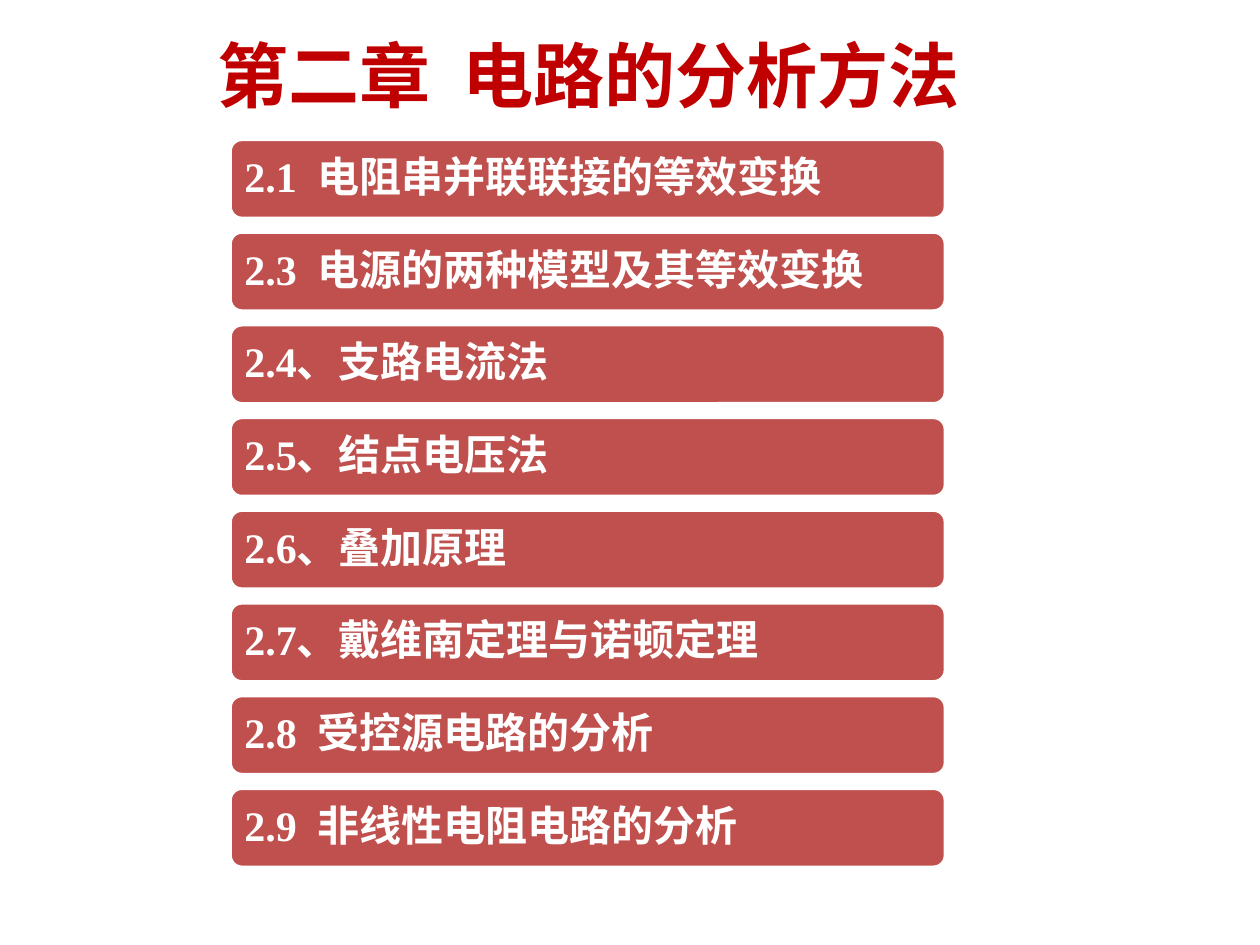
from pptx import Presentation
from pptx.dml.color import RGBColor
from pptx.enum.shapes import MSO_SHAPE
from pptx.enum.text import MSO_ANCHOR, PP_ALIGN
from pptx.oxml.ns import qn
from pptx.util import Inches, Pt
from lxml.etree import SubElement

TITLE = "第二章  电路的分析方法"
TOPICS = [
    "2.1  电阻串并联联接的等效变换",
    "2.3  电源的两种模型及其等效变换",
    "2.4、支路电流法",
    "2.5、结点电压法",
    "2.6、叠加原理",
    "2.7、戴维南定理与诺顿定理",
    "2.8  受控源电路的分析",
    "2.9  非线性电阻电路的分析",
]

THEME = {
    "title": RGBColor(0xC0, 0x00, 0x00),
    "bar": RGBColor(0xC0, 0x50, 0x4D),
    "white": RGBColor(0xFF, 0xFF, 0xFF),
    "latin": "Times New Roman",
    "han": "Noto Sans CJK SC",
    "title_size": Pt(40.6),
    "topic_size": Pt(24),
    "edge": Pt(4.33),
}

LEFT, WIDTH, HEIGHT = 1.81, 5.71, 0.66
TOP, LAST = 1.09, 6.24
STEP = (LAST - TOP) / (len(TOPICS) - 1)


def write(shape, text, align, size, color, latin):
    frame = shape.text_frame
    frame.word_wrap = True
    frame.vertical_anchor = MSO_ANCHOR.MIDDLE
    frame.margin_left = frame.margin_right = Inches(0.1)
    frame.margin_top = frame.margin_bottom = Inches(0.05)
    para = frame.paragraphs[0]
    para.text = text
    para.alignment = align
    para.line_spacing = 0.9
    font = para.font
    font.size, font.bold, font.name = size, True, latin
    font.color.rgb = color
    props = para._p.pPr.find(qn("a:defRPr"))
    SubElement(props, qn("a:ea")).set("typeface", THEME["han"])


def add_bar(slide, row, text):
    bar = slide.shapes.add_shape(
        MSO_SHAPE.ROUNDED_RECTANGLE,
        Inches(LEFT), Inches(TOP + row * STEP), Inches(WIDTH), Inches(HEIGHT))
    bar.shadow.inherit = False
    bar.fill.solid()
    bar.fill.fore_color.rgb = THEME["bar"]
    bar.line.color.rgb = THEME["white"]
    bar.line.width = THEME["edge"]
    write(bar, text, PP_ALIGN.LEFT, THEME["topic_size"], THEME["white"], THEME["latin"])


def main():
    deck = Presentation()
    deck.slide_width, deck.slide_height = Inches(10), Inches(7.5)
    slide = deck.slides.add_slide(deck.slide_layouts[5])
    title = slide.shapes.title
    title.left, title.top = Inches(0.67), Inches(0.17)
    title.width, title.height = Inches(8), Inches(0.92)
    write(title, TITLE, PP_ALIGN.CENTER, THEME["title_size"], THEME["title"], THEME["han"])
    for row, text in enumerate(TOPICS):
        add_bar(slide, row, text)
    deck.save("out.pptx")


if __name__ == "__main__":
    main()
